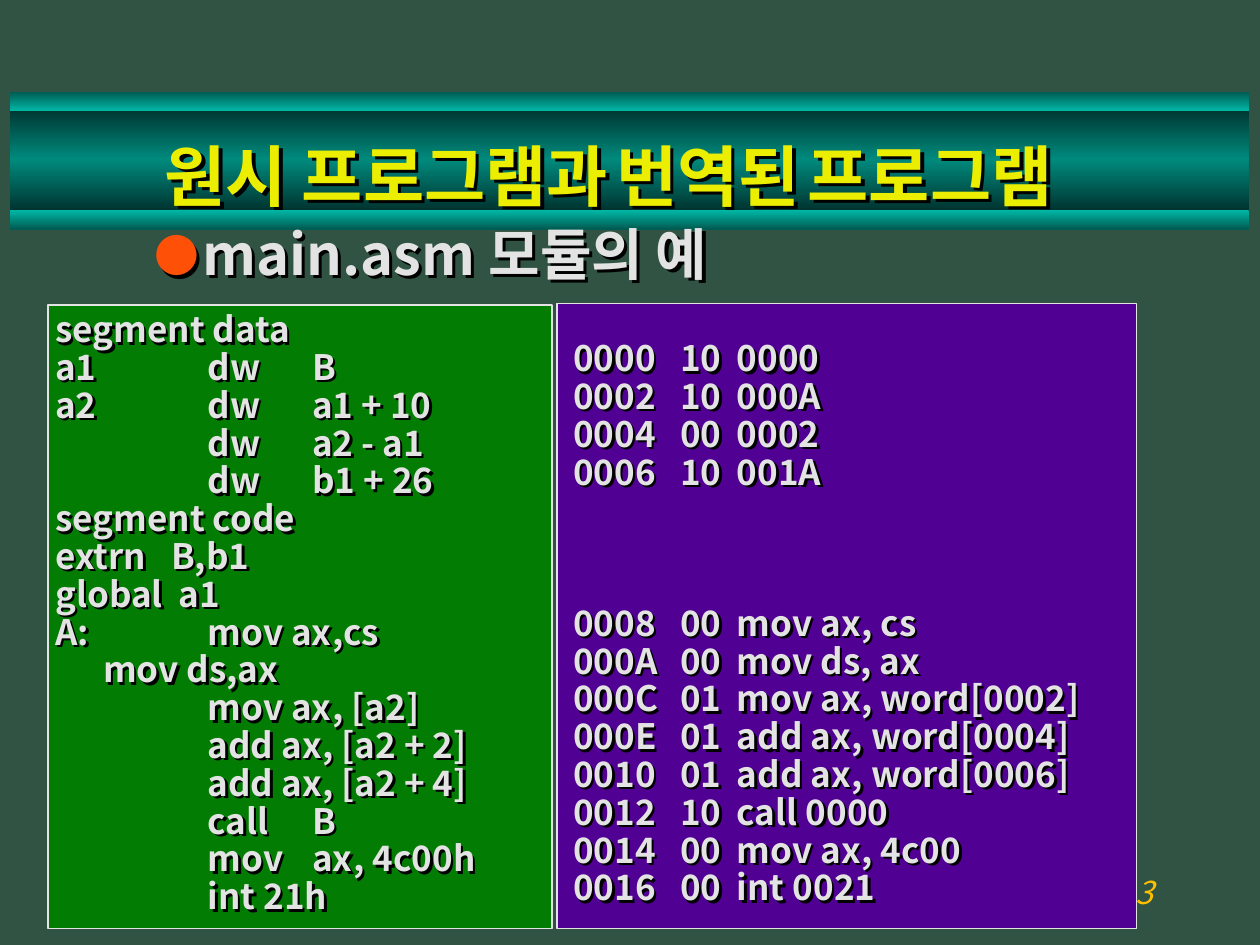
"""Build a slide that sets an assembly source beside its translated program."""
from lxml.etree import SubElement
from pptx import Presentation
from pptx.dml.color import RGBColor
from pptx.enum.shapes import MSO_SHAPE as Shape
from pptx.enum.text import MSO_ANCHOR as Anchor, PP_ALIGN as Align
from pptx.oxml.ns import qn
from pptx.util import Inches, Pt

COLORS = {
    "background": "305343", "band_dark": "00322E", "band_light": "008A7D",
    "edge_dark": "005B52", "edge_light": "00B7A5", "number": "FFC000",
    "source": "037C03", "translated": "500093", "text": "E3E3E3",
    "title": "ECEE00", "bullet": "FF5008", "shadow": "000000",
}
FONT = "Noto Sans CJK KR"

SOURCE_STOPS = (0.38, 1.21, 2.04)
SOURCE = [
    (SOURCE_STOPS, ["segment data", "a1\t\tdw\tB", "a2\t\tdw\ta1 + 10",
                    "\t\tdw\ta2 - a1", "\t\tdw\tb1 + 26", "segment code"]),
    ((0.92,), ["extrn\tB,b1"]),
    ((0.98,), ["global\ta1"]),
    (SOURCE_STOPS, ["A:\t\tmov ax,cs", "\tmov ds,ax", "\t\tmov ax, [a2]",
                    "\t\tadd ax, [a2 + 2]", "\t\tadd ax, [a2 + 4]",
                    "\t\tcall\tB", "\t\tmov\tax, 4c00h", "\t\tint 21h"]),
]
DATA_ROWS = ["0000\t10\t0000", "0002\t10\t000A", "0004\t00\t0002", "0006\t10\t001A"]
CODE_ROWS = ["0008\t00\tmov ax, cs", "000A\t00\tmov ds, ax",
             "000C\t01\tmov ax, word[0002]", "000E\t01\tadd ax, word[0004]",
             "0010\t01\tadd ax, word[0006]", "0012\t10\tcall 0000",
             "0014\t00\tmov ax, 4c00", "0016\t00\tint 0021"]
TRANSLATED_STOPS = (0.85, 1.3)
SKIPPED_LINES = Inches(0.9)


def rgb(name):
    return RGBColor.from_string(COLORS[name])


def add_text(paragraph, text, size, color="text", bold=True, italic=False):
    run = paragraph.add_run()
    run.text = text
    font = run.font
    font.name, font.size, font.bold, font.italic = FONT, Pt(size), bold, italic
    font.color.rgb = rgb(color)
    SubElement(font._element, qn("a:ea"), typeface=FONT)


class SlideBuilder:
    def __init__(self, slide):
        self.slide = slide
        fill = slide.background.fill
        fill.solid()
        fill.fore_color.rgb = rgb("background")

    def rectangle(self, *box):
        shape = self.slide.shapes.add_shape(Shape.RECTANGLE, *map(Inches, box))
        shape.shadow.inherit = False
        return shape

    def band(self, top, height, *colors):
        shape = self.rectangle(0.08, top, 9.83, height)
        shape.line.fill.background()
        shape.fill.gradient()
        shape.fill.gradient_angle = 270
        stops = shape._element.spPr.find(".//" + qn("a:gsLst"))
        stops.clear()
        for index, color in enumerate(colors):
            position = str(100000 * index // (len(colors) - 1))
            stop = SubElement(stops, qn("a:gs"), pos=position)
            SubElement(stop, qn("a:srgbClr"), val=COLORS[color])

    def panel(self, color, *box):
        shape = self.rectangle(*box)
        shape.fill.solid()
        shape.fill.fore_color.rgb = rgb(color)
        shape.line.color.rgb = rgb("text")
        shape.line.width = Pt(1)

    def text_box(self, *box, anchor=Anchor.TOP, wrap=True, shadow=0):
        shape = self.slide.shapes.add_textbox(*map(Inches, box))
        frame = shape.text_frame
        frame.word_wrap = wrap
        frame.vertical_anchor = anchor
        if shadow:
            shape.shadow.inherit = False
            effects = shape._element.spPr.find(qn("a:effectLst"))
            outer = SubElement(effects, qn("a:outerShdw"), blurRad="0",
                               dist=str(Pt(shadow)), dir="2700000", algn="tl")
            SubElement(outer, qn("a:srgbClr"), val=COLORS["shadow"])
        return frame

    def bullet(self, paragraph):
        properties = paragraph._p.get_or_add_pPr()
        properties.set("marL", str(Inches(0.38)))
        properties.set("indent", str(Inches(-0.38)))
        color = SubElement(properties, qn("a:buClr"))
        SubElement(color, qn("a:srgbClr"), val=COLORS["bullet"])
        SubElement(properties, qn("a:buSzPct"), val="80000")
        SubElement(properties, qn("a:buFont"), typeface=FONT)
        SubElement(properties, qn("a:buChar"), char="●")

    def code_lines(self, frame, groups):
        lines = [(stops, line) for stops, group in groups for line in group]
        for index, (stops, line) in enumerate(lines):
            paragraph = frame.add_paragraph() if index else frame.paragraphs[0]
            paragraph.line_spacing = 0.9
            tabs = SubElement(paragraph._p.get_or_add_pPr(), qn("a:tabLst"))
            for stop in stops:
                SubElement(tabs, qn("a:tab"), pos=str(Inches(stop)), algn="l")
            add_text(paragraph, line, 20)


def main():
    presentation = Presentation()
    presentation.slide_width, presentation.slide_height = Inches(10), Inches(7.5)
    builder = SlideBuilder(presentation.slides.add_slide(presentation.slide_layouts[6]))

    builder.band(0.85, 0.83, "band_dark", "band_light", "band_dark")
    builder.band(1.67, 0.15, "edge_light", "edge_dark")
    builder.band(0.73, 0.15, "edge_dark", "edge_light")

    number = builder.text_box(7.17, 6.83, 2.08, 0.5, anchor=Anchor.MIDDLE, wrap=False)
    number.paragraphs[0].alignment = Align.RIGHT
    add_text(number.paragraphs[0], "3", 18, "number", bold=False, italic=True)

    builder.panel("translated", 4.42, 2.41, 4.6, 4.96)
    builder.panel("source", 0.38, 2.42, 4, 4.95)

    title = builder.text_box(0.58, 0.98, 8.5, 0.81, anchor=Anchor.MIDDLE, shadow=3)
    title.paragraphs[0].alignment = Align.CENTER
    for text, size in [("원시 프로그램과", 38), (" ", 20), ("번역된", 38),
                       (" ", 20), ("프로그램", 38)]:
        add_text(title.paragraphs[0], text, size, "title")

    body = builder.text_box(1.13, 1.75, 5.3, 0.56, shadow=2.5)
    heading = body.paragraphs[0]
    heading.line_spacing = 0.9
    heading.space_before = Pt(6.4)
    builder.bullet(heading)
    add_text(heading, "main.asm 모듈의 예", 32)

    source = builder.text_box(0.34, 2.43, 4.03, 4.61, shadow=2)
    builder.code_lines(source, SOURCE)

    translated = builder.text_box(4.45, 2.33, 4.49, 5.04, shadow=2)
    translated.margin_top = Inches(0.38)
    builder.code_lines(translated, [(TRANSLATED_STOPS, DATA_ROWS + CODE_ROWS)])
    translated.paragraphs[len(DATA_ROWS)].space_before = SKIPPED_LINES

    presentation.save("out.pptx")


if __name__ == "__main__":
    main()
